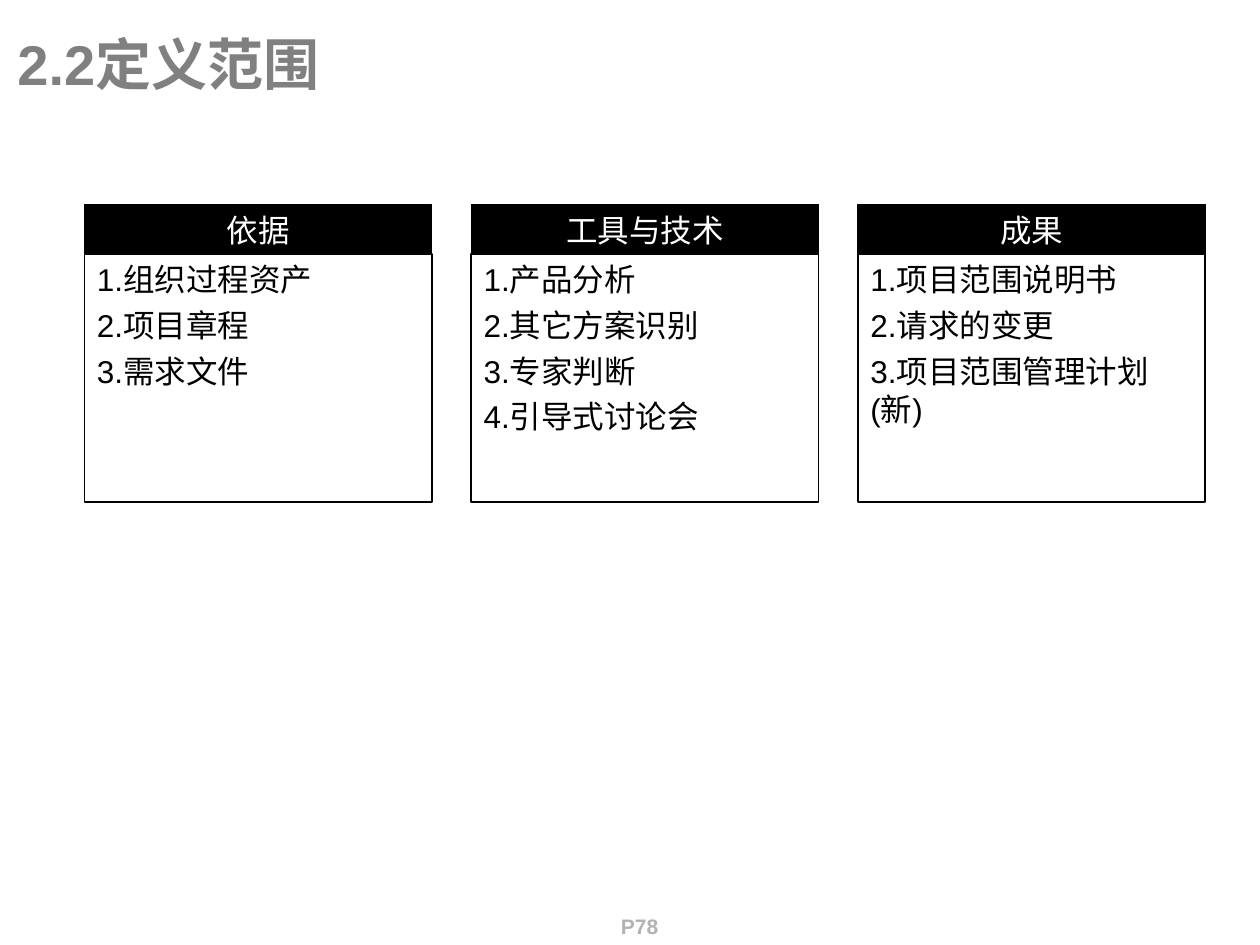
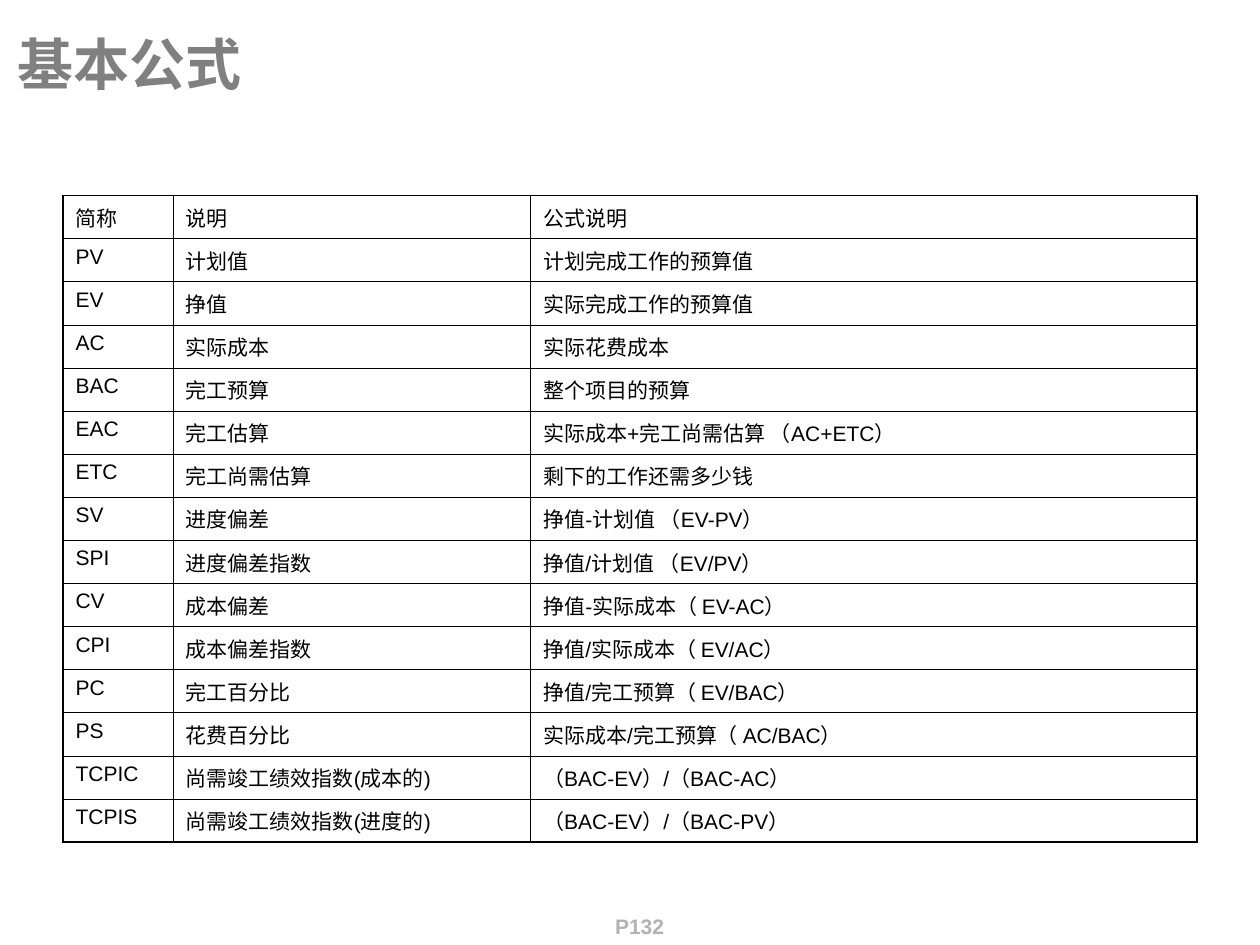
"""Build two project-scope slides: process columns and a table of basic formulas."""
import dataclasses

import pptx
import pptx.dml.color
import pptx.enum.shapes
import pptx.enum.text
import pptx.oxml
import pptx.oxml.ns
import pptx.presentation
import pptx.shapes.autoshape
import pptx.slide
import pptx.table
import pptx.text.text
import pptx.util

Pt = pptx.util.Pt
ALIGN = pptx.enum.text.PP_ALIGN
ANCHOR = pptx.enum.text.MSO_ANCHOR

COLORS = {"ink": "000000", "paper": "FFFFFF", "title": "808080", "page": "B2B2B2"}
FONT = "Arial"
TITLE_ONLY = 5

COLUMN_LEFT, COLUMN_PITCH, COLUMN_WIDTH = 48.25, 221, 198.5
HEADING_TOP, HEADING_HEIGHT = 116.75, 28.25
ITEMS_TOP, ITEMS_HEIGHT = 145.25, 141.75

FORMULA_LEFT, FORMULA_TOP = 36, 111.75
FORMULA_WIDTHS = (63, 204.25, 380.75)
FORMULA_ROW_HEIGHT = 24.65
OUTER_BORDER, INNER_BORDER = 1.08, 0.45


@dataclasses.dataclass(frozen=True)
class TextStyle:
    """Look of a paragraph."""

    size: float
    color: str
    bold: bool = False
    align: ALIGN = ALIGN.LEFT
    gap: float = 0


@dataclasses.dataclass(frozen=True)
class ProcessColumn:
    """A heading over its numbered items."""

    heading: str
    items: tuple[str, ...]


TITLE = TextStyle(32, "title", bold=True)
PAGE = TextStyle(12, "page", bold=True, align=ALIGN.CENTER)
HEADING = TextStyle(18, "paper", align=ALIGN.CENTER)
ITEM = TextStyle(18, "ink", gap=4.5)
CELL = TextStyle(12, "ink")

SCOPE_COLUMNS = (
    ProcessColumn("依据", ("组织过程资产", "项目章程", "需求文件")),
    ProcessColumn("工具与技术", ("产品分析", "其它方案识别", "专家判断", "引导式讨论会")),
    ProcessColumn("成果", ("项目范围说明书", "请求的变更", "项目范围管理计划(新)")),
)

FORMULAS = (
    ("简称", "说明", "公式说明"),
    ("PV", "计划值", "计划完成工作的预算值"),
    ("EV", "挣值", "实际完成工作的预算值"),
    ("AC", "实际成本", "实际花费成本"),
    ("BAC", "完工预算", "整个项目的预算"),
    ("EAC", "完工估算", "实际成本+完工尚需估算 （AC+ETC）"),
    ("ETC", "完工尚需估算", "剩下的工作还需多少钱"),
    ("SV", "进度偏差", "挣值-计划值 （EV-PV）"),
    ("SPI", "进度偏差指数", "挣值/计划值 （EV/PV）"),
    ("CV", "成本偏差", "挣值-实际成本（ EV-AC）"),
    ("CPI", "成本偏差指数", "挣值/实际成本（ EV/AC）"),
    ("PC", "完工百分比", "挣值/完工预算（ EV/BAC）"),
    ("PS", "花费百分比", "实际成本/完工预算（ AC/BAC）"),
    ("TCPIC", "尚需竣工绩效指数(成本的)", "（BAC-EV）/（BAC-AC）"),
    ("TCPIS", "尚需竣工绩效指数(进度的)", "（BAC-EV）/（BAC-PV）"),
)


def rgb(name: str) -> pptx.dml.color.RGBColor:
    return pptx.dml.color.RGBColor.from_string(COLORS[name])


def write(frame: pptx.text.text.TextFrame, lines: tuple[str, ...], style: TextStyle) -> None:
    frame.word_wrap = True
    for index, line in enumerate(lines):
        paragraph = frame.add_paragraph() if index else frame.paragraphs[0]
        paragraph.text = line
        paragraph.alignment = style.align
        paragraph.space_before = Pt(style.gap if index else 0)
        paragraph.font.name = FONT
        paragraph.font.size = Pt(style.size)
        paragraph.font.bold = style.bold
        paragraph.font.color.rgb = rgb(style.color)


def add_page(deck: pptx.presentation.Presentation, title: str, page: str) -> pptx.slide.Slide:
    slide = deck.slides.add_slide(deck.slide_layouts[TITLE_ONLY])
    heading = slide.shapes.title
    heading.left, heading.top, heading.width, heading.height = Pt(2.75), Pt(12.5), Pt(717), Pt(47.5)
    heading.text_frame.auto_size = pptx.enum.text.MSO_AUTO_SIZE.NONE
    heading.text_frame.vertical_anchor = ANCHOR.MIDDLE
    write(heading.text_frame, (title,), TITLE)
    footer = slide.shapes.add_textbox(Pt(342.75), Pt(518.5), Pt(45.5), Pt(23.5))
    write(footer.text_frame, (page,), PAGE)
    return slide


def add_box(slide: pptx.slide.Slide, left: float, top: float, height: float,
            border: float) -> pptx.shapes.autoshape.Shape:
    box = slide.shapes.add_shape(pptx.enum.shapes.MSO_SHAPE.RECTANGLE,
                                 Pt(left), Pt(top), Pt(COLUMN_WIDTH), Pt(height))
    box.shadow.inherit = False
    box.fill.background()
    box.line.color.rgb = rgb("ink")
    box.line.width = Pt(border)
    box.text_frame.vertical_anchor = ANCHOR.TOP
    return box


def add_column(slide: pptx.slide.Slide, column: ProcessColumn, left: float) -> None:
    heading = add_box(slide, left, HEADING_TOP, HEADING_HEIGHT, 0.75)
    heading.fill.solid()
    heading.fill.fore_color.rgb = rgb("ink")
    write(heading.text_frame, (column.heading,), HEADING)
    items = add_box(slide, left, ITEMS_TOP, ITEMS_HEIGHT, 1)
    numbered = tuple(f"{number}.{item}" for number, item in enumerate(column.items, 1))
    write(items.text_frame, numbered, ITEM)


def set_border(cell: pptx.table._Cell, side: str, width: float) -> None:
    namespace = pptx.oxml.ns.nsdecls("a")
    cell._tc.get_or_add_tcPr().append(pptx.oxml.parse_xml(
        f'<a:ln{side} {namespace} w="{int(Pt(width))}"><a:solidFill>'
        f'<a:srgbClr val="{COLORS["ink"]}"/></a:solidFill></a:ln{side}>'))


def add_formulas(slide: pptx.slide.Slide) -> None:
    row_count, column_count = len(FORMULAS), len(FORMULA_WIDTHS)
    table = slide.shapes.add_table(
        row_count, column_count, Pt(FORMULA_LEFT), Pt(FORMULA_TOP),
        Pt(sum(FORMULA_WIDTHS)), Pt(row_count * FORMULA_ROW_HEIGHT)).table
    table.first_row = table.horz_banding = False
    for column, width in zip(table.columns, FORMULA_WIDTHS):
        column.width = Pt(width)
    for row_index, formula in enumerate(FORMULAS):
        table.rows[row_index].height = Pt(FORMULA_ROW_HEIGHT)
        for column_index, text in enumerate(formula):
            cell = table.cell(row_index, column_index)
            write(cell.text_frame, (text,), CELL)
            on_edge = {"L": column_index == 0, "R": column_index == column_count - 1,
                       "T": row_index == 0, "B": row_index == row_count - 1}
            for side, outer in on_edge.items():
                set_border(cell, side, OUTER_BORDER if outer else INNER_BORDER)
            cell.fill.background()


def main() -> None:
    deck = pptx.Presentation()
    deck.slide_width, deck.slide_height = Pt(720), Pt(540)
    scope = add_page(deck, "2.2定义范围", "P78")
    for index, column in enumerate(SCOPE_COLUMNS):
        add_column(scope, column, COLUMN_LEFT + index * COLUMN_PITCH)
    add_formulas(add_page(deck, "基本公式", "P132"))
    deck.save("out.pptx")


if __name__ == "__main__":
    main()
